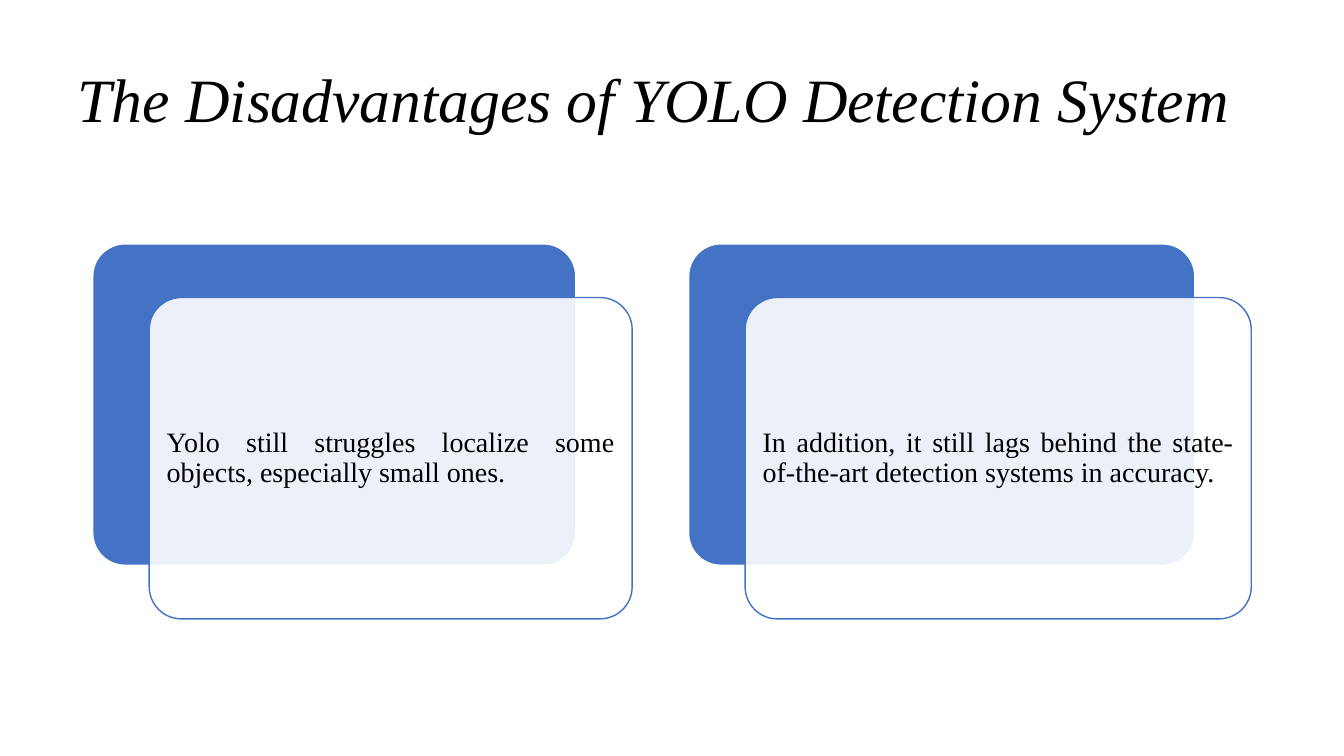
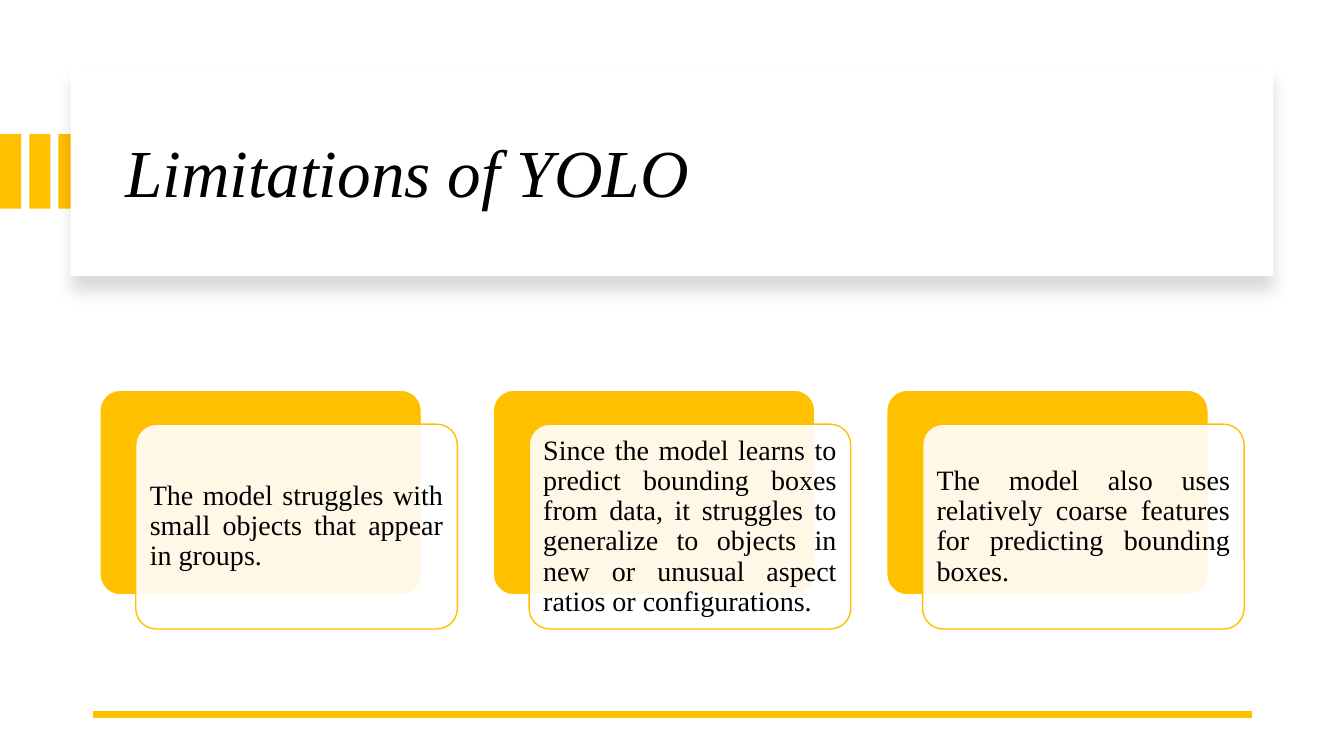
from lxml import etree
from pptx import Presentation
from pptx import util as u
from pptx.dml.color import RGBColor
from pptx.enum import shapes, text
from pptx.oxml import ns

FONT = "Times New Roman"
BLACK = RGBColor(0x00, 0x00, 0x00)
WHITE = RGBColor(0xFF, 0xFF, 0xFF)
BLUE = RGBColor(0x44, 0x72, 0xC4)
GOLD = RGBColor(0xFF, 0xC0, 0x00)

CARD_RADIUS = 0.1
CARD_OPACITY = 90
CARD_INSET = u.Inches(0.08)
DROP_RATIO = 0.95  # downward shift of the front card per unit of sideways shift


def inches(box):
    return [u.Inches(v) for v in box]


def set_alpha(parent, percent):
    etree.SubElement(parent, ns.qn("a:alpha"), val=str(percent * 1000))


def style_text(tf, size, align, italic=False):
    tf.word_wrap = True
    tf.auto_size = text.MSO_AUTO_SIZE.NONE
    tf.vertical_anchor = text.MSO_ANCHOR.MIDDLE
    p = tf.paragraphs[0]
    p.alignment = align
    p.line_spacing = 0.9
    font = p.runs[0].font
    font.name, font.size, font.italic = FONT, u.Pt(size), italic
    font.color.rgb = BLACK


def add_box(slide, kind, box, fill, line=None):
    sp = slide.shapes.add_shape(kind, *inches(box))
    sp.shadow.inherit = False
    sp.fill.solid()
    sp.fill.fore_color.rgb = fill
    if line is None:
        sp.line.fill.background()
    else:
        sp.line.color.rgb = line
        sp.line.width = u.Pt(1)
    return sp


def add_title(slide, box, words, size):
    title = slide.shapes.title
    title.left, title.top, title.width, title.height = inches(box)
    title.text_frame.text = words
    style_text(title.text_frame, size, text.PP_ALIGN.LEFT, italic=True)
    slide.shapes._spTree.append(title._element)  # bring to front


def add_card(slide, box, shift, color, words):
    """A coloured card with a translucent text card shifted over it."""
    x, y, w, h = box
    rounded = shapes.MSO_SHAPE.ROUNDED_RECTANGLE
    back = add_box(slide, rounded, box, color, WHITE)
    front_box = (x + shift, y + shift * DROP_RATIO, w, h)
    front = add_box(slide, rounded, front_box, WHITE, color)
    for sp in (back, front):
        sp.adjustments[0] = CARD_RADIUS
    set_alpha(front._element.spPr.find(".//" + ns.qn("a:srgbClr")), CARD_OPACITY)

    tf = front.text_frame
    tf.margin_left = tf.margin_right = CARD_INSET
    tf.margin_top = tf.margin_bottom = CARD_INSET
    tf.text = words
    style_text(tf, 20, text.PP_ALIGN.JUSTIFY)


def add_card_row(slide, box, color, cards):
    """Cards as (width, words); the shift and the gaps share the width left over."""
    x, y, w, h = box
    shift = (w - sum(width for width, _ in cards)) / (2 * len(cards) - 1)
    for width, words in cards:
        add_card(slide, (x, y, width, h - shift * DROP_RATIO), shift, color, words)
        x += width + 2 * shift


def add_title_panel(slide, box):
    """Gold stripes at the slide edge running under a white panel with a shadow."""
    rect = shapes.MSO_SHAPE.RECTANGLE
    for i in range(3):
        add_box(slide, rect, (i * 0.29, box[1] + 0.66, 0.21, 0.74), GOLD)
    panel = add_box(slide, rect, box, WHITE)
    effects = panel._element.spPr.find(ns.qn("a:effectLst"))
    shadow = etree.SubElement(
        effects, ns.qn("a:outerShdw"), blurRad=str(u.Pt(11)), dist=str(u.Pt(10)),
        dir="5400000", algn="t", rotWithShape="0")
    set_alpha(etree.SubElement(shadow, ns.qn("a:srgbClr"), val=str(BLACK)), 15)


def add_rule(slide, left, right, y):
    line = slide.shapes.add_connector(
        shapes.MSO_CONNECTOR.STRAIGHT, *inches((right, y, left, y)))
    line.line.color.rgb = GOLD
    line.line.width = u.Pt(4.5)
    etree.SubElement(line._element.spPr, ns.qn("a:effectLst"))


def disadvantages_slide(prs, layout):
    slide = prs.slides.add_slide(layout)
    add_title(slide, (0.67, 0.29, 11.82, 1.45),
              "The Disadvantages of YOLO Detection System", 44)
    add_card_row(slide, (0.92, 2.42, 11.49, 3.72), BLUE, [
        (4.79, "Yolo still struggles localize some objects, especially small ones."),
        (5.02, "In addition, it still lags behind the state-of-the-art detection "
               "systems in accuracy."),
    ])


def limitations_slide(prs, layout):
    slide = prs.slides.add_slide(layout)
    add_title_panel(slide, (0.7, 0.67, 11.93, 2.07))
    add_title(slide, (1.14, 0.89, 11.13, 1.7), "Limitations of YOLO", 48)
    add_rule(slide, 0.92, 12.42, 7.09)
    add_card_row(slide, (0.99, 3.87, 11.35, 2.37), GOLD, [
        (3.19, "The model struggles with small objects that appear in groups."),
        (3.19, "Since the model learns to predict bounding boxes from data, it "
               "struggles to generalize to objects in new or unusual aspect ratios "
               "or configurations."),
        (3.19, "The model also uses relatively coarse features for predicting "
               "bounding boxes."),
    ])


def main():
    prs = Presentation()
    prs.slide_width, prs.slide_height = inches((13.33, 7.5))
    title_only = prs.slide_layouts[5]
    disadvantages_slide(prs, title_only)
    limitations_slide(prs, title_only)
    prs.save("out.pptx")


if __name__ == "__main__":
    main()
